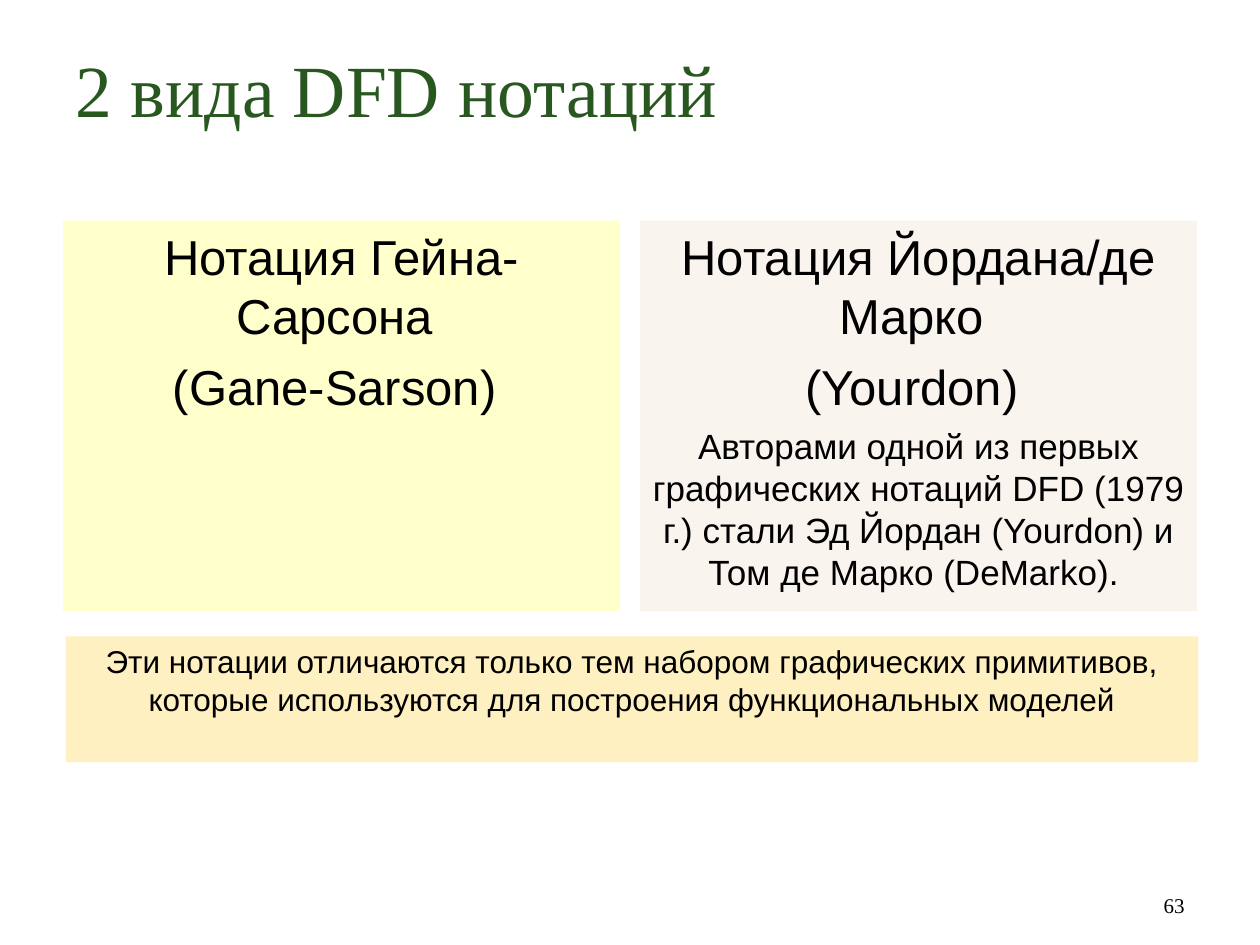
from lxml import etree
from pptx import Presentation
from pptx import util as u
from pptx.dml.color import RGBColor
from pptx.enum import shapes, text
from pptx.oxml import ns

SANS = "Arial"
SERIF = "Times New Roman"
LEFT, MID, RIGHT = text.PP_ALIGN.LEFT, text.PP_ALIGN.CENTER, text.PP_ALIGN.RIGHT


def color(code):
    return RGBColor.from_string(code)


def place(shape, box):
    shape.left, shape.top, shape.width, shape.height = map(u.Inches, box)


def paint(shape, code):
    shape.fill.solid()
    shape.fill.fore_color.rgb = color(code)
    shape.line.fill.background()


def frame(shape, anchor=text.MSO_ANCHOR.TOP):
    body = shape.text_frame
    body.word_wrap = True
    body.auto_size = text.MSO_AUTO_SIZE.NONE
    body.vertical_anchor = anchor
    return body


def write(par, words, size, face=SANS, ink="000000", align=MID):
    par.alignment = align
    run = par.add_run()
    run.text = words
    run.font.size = u.Pt(size)
    run.font.name = face
    run.font.color.rgb = color(ink)


def head(slide, box, words):
    shape = slide.shapes.title
    place(shape, box)
    write(frame(shape).paragraphs[0], words, 42, SERIF, "28571F", LEFT)


def panel(shape, box, fill, lines):
    place(shape, box)
    paint(shape, fill)
    body = frame(shape)
    for i, (words, size) in enumerate(lines):
        par = body.add_paragraph() if i else body.paragraphs[0]
        props = par._p.get_or_add_pPr()
        props.set("marL", "0")
        props.set("indent", "0")
        etree.SubElement(props, ns.qn("a:buNone"))
        par.space_before = u.Pt(size / 4 if i else 0)
        write(par, words, size)


def note(slide, box, words):
    shape = slide.shapes.add_shape(
        shapes.MSO_SHAPE.RECTANGLE, *map(u.Inches, box))
    shape.shadow.inherit = False
    paint(shape, "FFF0C2")
    write(frame(shape).paragraphs[0], words, 18)


def number(slide, box, words):
    shape = slide.shapes.add_textbox(*map(u.Inches, box))
    body = frame(shape, text.MSO_ANCHOR.BOTTOM)
    write(body.paragraphs[0], words, 12, SERIF, align=RIGHT)


def main():
    deck = Presentation()
    deck.slide_width, deck.slide_height = u.Inches(10), u.Inches(7.5)
    slide = deck.slides.add_slide(deck.slide_layouts.get_by_name("Two Content"))
    head(slide, (0.5, 0.3, 9, 1.25), "2 вида DFD нотаций")

    panels = [
        ("FFFFCC", [("Нотация Гейна-Сарсона ", 28), ("(Gane-Sarson) ", 28)]),
        ("F9F4EE", [
            ("Нотация Йордана/де Марко ", 28),
            ("(Yourdon) ", 28),
            ("Авторами одной из первых графических нотаций DFD (1979 г.) "
             "стали Эд Йордан (Yourdon) и Том де Марко (DeMarko). ", 20),
        ]),
    ]
    wide, gap = 4.42, 0.16
    for i, (fill, lines) in enumerate(panels):
        box = (0.5 + i * (wide + gap), 1.75, wide, 3.1)
        panel(slide.placeholders[i + 1], box, fill, lines)

    number(slide, (7.17, 6.83, 2.33, 0.5), "63")
    note(slide, (0.52, 5.05, 8.99, 1),
         "Эти нотации отличаются только тем набором графических примитивов, "
         "которые используются для построения функциональных моделей")
    deck.save("out.pptx")


if __name__ == "__main__":
    main()
